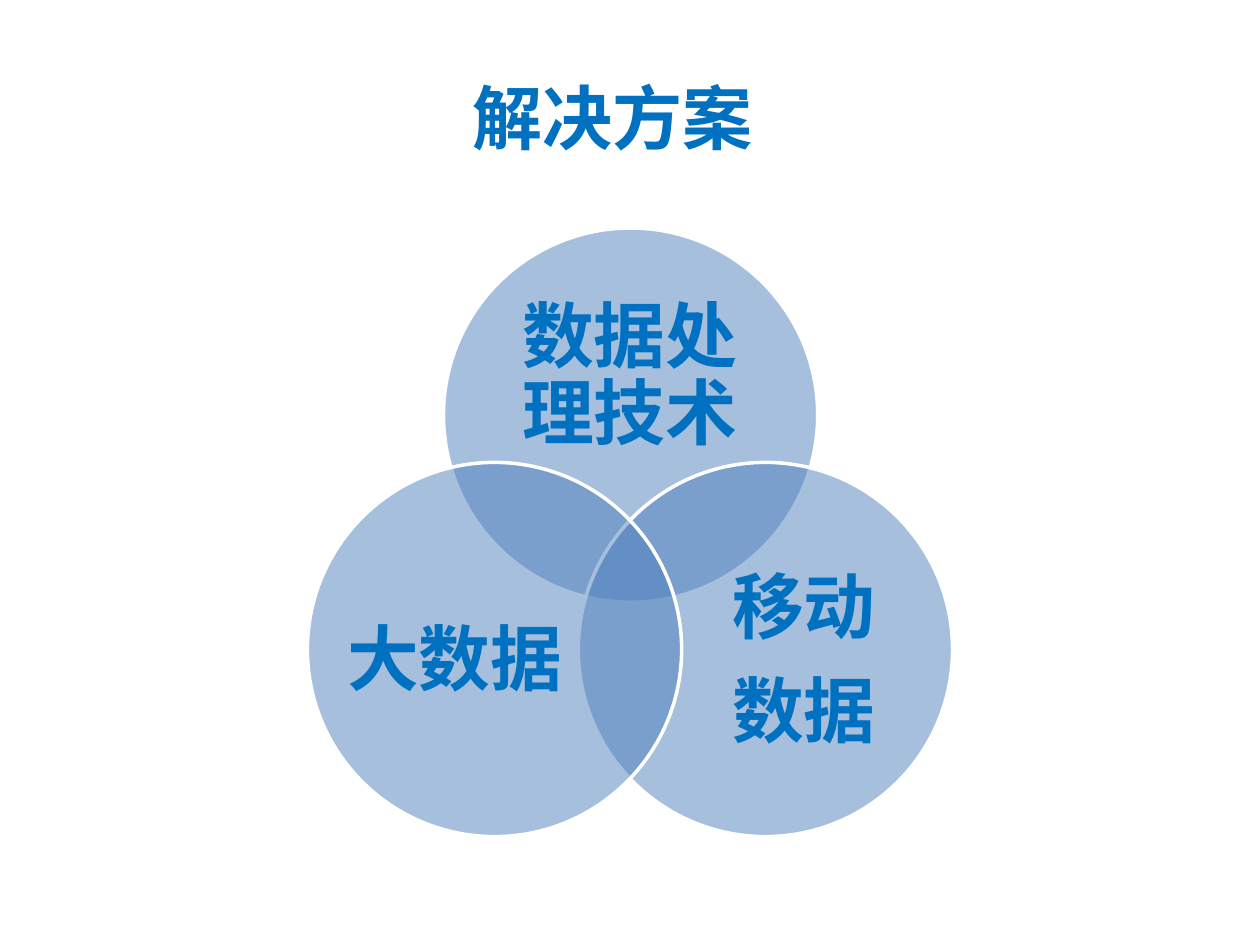
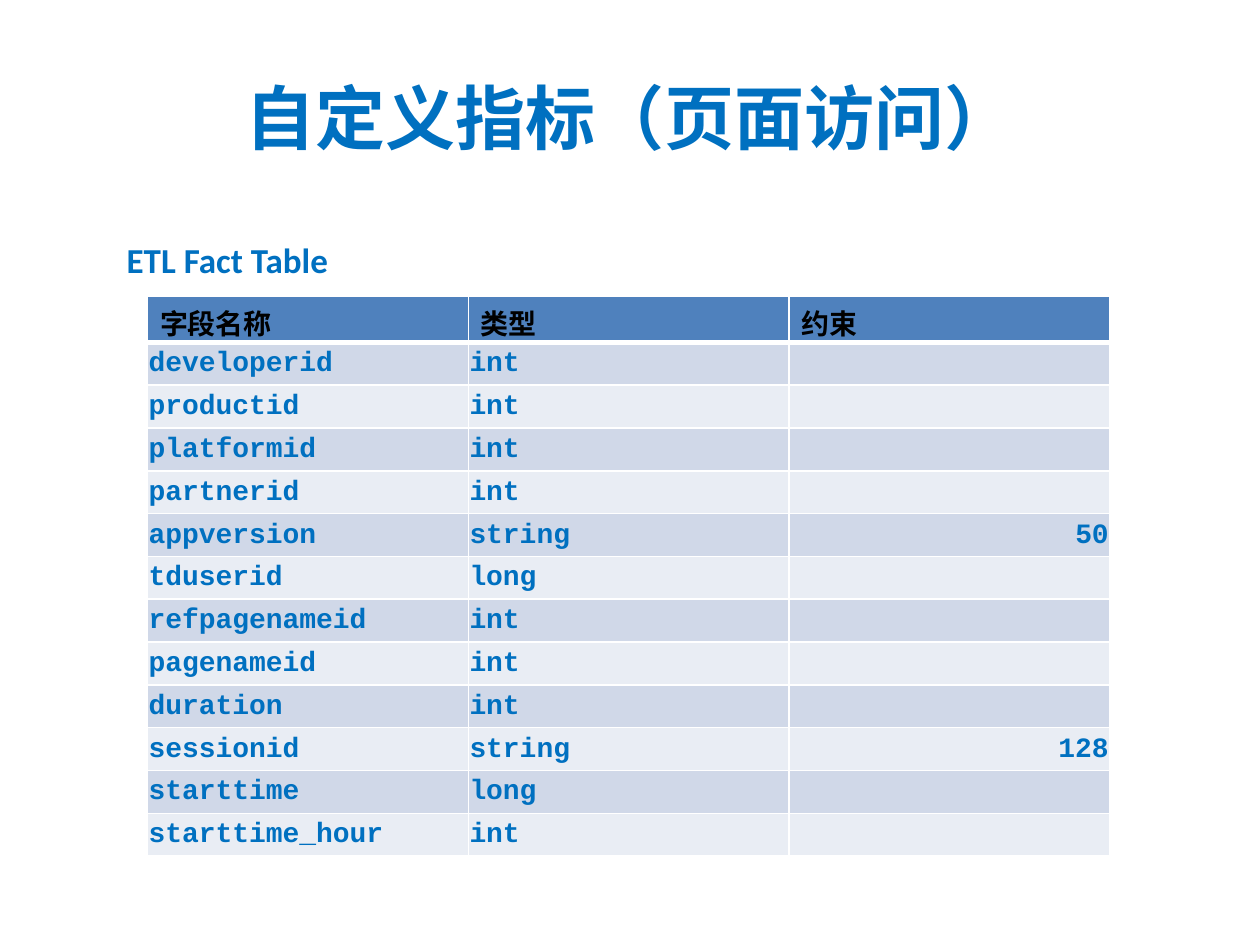
"""Build the solution Venn slide and the page-visit fact table slide."""
from dataclasses import dataclass
from typing import Any

from lxml.etree import SubElement
from pptx import Presentation
from pptx.dml.color import RGBColor
from pptx.enum.shapes import MSO_SHAPE
from pptx.enum.text import MSO_ANCHOR, PP_ALIGN
from pptx.oxml.ns import qn
from pptx.slide import Slide
from pptx.table import _Cell
from pptx.text.text import TextFrame, _Paragraph
from pptx.util import Inches, Length, Pt


@dataclass(frozen=True)
class Theme:
    """Shared colours, fonts and type sizes."""

    accent: str = "4F81BD"
    text: str = "0070C0"
    header_text: str = "000000"
    white: str = "FFFFFF"
    bands: tuple[str, str] = ("D0D8E8", "E9EDF4")
    font: str = "Calibri"
    code_font: str = "Courier New"
    title_size: int = 40
    circle_size: int = 41
    caption_size: int = 20
    table_size: int = 16


@dataclass(frozen=True)
class Box:
    """A rectangle in inches."""

    left: float
    top: float
    width: float
    height: float

    def lengths(self) -> tuple[Length, ...]:
        """Return the four sides as lengths."""
        return tuple(Inches(v) for v in (self.left, self.top, self.width, self.height))


@dataclass(frozen=True)
class Circle:
    """One Venn circle with its label."""

    left: float
    top: float
    label_box: Box
    lines: tuple[str, ...]


@dataclass(frozen=True)
class Field:
    """One row of the fact table."""

    name: str
    kind: str
    limit: str = ""


THEME = Theme()
TITLE_BOX = Box(0.5, 0.3, 9, 1.25)
CAPTION_BOX = Box(-0.25, 1.77, 4.11, 0.58)
TABLE_BOX = Box(1.17, 2.35, 7.64, 4.45)
ROW_HEIGHT = 0.34
DIAMETER = 2.97
CIRCLES = (
    Circle(3.52, 1.81, Box(3.91, 2.33, 2.18, 1.34), ("数据处理技术",)),
    Circle(4.59, 3.67, Box(5.49, 4.44, 1.78, 1.63), ("移动", "数据")),
    Circle(2.44, 3.67, Box(2.72, 4.44, 1.78, 1.63), ("大数据",)),
)
HEADERS = ("字段名称", "类型", "约束")
FIELDS = (
    Field("developerid", "int"),
    Field("productid", "int"),
    Field("platformid", "int"),
    Field("partnerid", "int"),
    Field("appversion", "string", "50"),
    Field("tduserid", "long"),
    Field("refpagenameid", "int"),
    Field("pagenameid", "int"),
    Field("duration", "int"),
    Field("sessionid", "string", "128"),
    Field("starttime", "long"),
    Field("starttime_hour", "int"),
)
LABEL_FORMAT = {"line_spacing": 0.9, "space_after": Pt(15)}
NO_MARGINS = dict.fromkeys(("margin_left", "margin_top", "margin_right", "margin_bottom"), 0)
BODY_CELL_FORMAT = {
    "margin_left": Inches(0.01),
    "margin_top": Inches(0.01),
    "margin_right": Inches(0.01),
    "margin_bottom": 0,
    "vertical_anchor": MSO_ANCHOR.MIDDLE,
}


def apply_format(target: Any, values: dict[str, Any]) -> None:
    """Set each named attribute on the target."""
    for name, value in values.items():
        setattr(target, name, value)


def write_run(paragraph: _Paragraph, text: str, size: int, color: str = THEME.text,
              font: str = THEME.font) -> None:
    """Add one bold run to a paragraph."""
    run = paragraph.add_run()
    run.text = text
    apply_format(run.font, {"size": Pt(size), "name": font, "bold": True})
    run.font.color.rgb = RGBColor.from_string(color)


def add_text(slide: Slide, box: Box, lines: tuple[str, ...], size: int) -> TextFrame:
    """Add a centred text box with one paragraph per line."""
    frame = slide.shapes.add_textbox(*box.lengths()).text_frame
    apply_format(frame, {"word_wrap": True, "vertical_anchor": MSO_ANCHOR.MIDDLE})
    for index, line in enumerate(lines):
        paragraph = frame.add_paragraph() if index else frame.paragraphs[0]
        paragraph.alignment = PP_ALIGN.CENTER
        write_run(paragraph, line, size)
    return frame


def add_titled_slide(presentation: Any, title: str) -> Slide:
    """Add a blank slide carrying the shared title style."""
    slide = presentation.slides.add_slide(presentation.slide_layouts[6])
    add_text(slide, TITLE_BOX, (title,), THEME.title_size)
    return slide


def add_circle(slide: Slide, circle: Circle) -> None:
    """Draw a half-transparent circle and its label."""
    box = Box(circle.left, circle.top, DIAMETER, DIAMETER)
    shape = slide.shapes.add_shape(MSO_SHAPE.OVAL, *box.lengths())
    shape.shadow.inherit = False
    shape.fill.solid()
    shape.fill.fore_color.rgb = RGBColor.from_string(THEME.accent)
    color = shape.fill._xPr.find(f".//{qn('a:srgbClr')}")
    SubElement(color, qn("a:alpha"), val="50000")
    shape.line.color.rgb = RGBColor.from_string(THEME.white)
    shape.line.width = Pt(2)
    frame = add_text(slide, circle.label_box, circle.lines, THEME.circle_size)
    apply_format(frame, NO_MARGINS)
    for paragraph in frame.paragraphs:
        apply_format(paragraph, LABEL_FORMAT)


def style_cell(cell: _Cell, fill: str, top: int = 1, bottom: int = 1) -> None:
    """Give a cell white borders and a solid fill."""
    properties = cell._tc.get_or_add_tcPr()
    for side, width in {"lnL": 1, "lnR": 1, "lnT": top, "lnB": bottom}.items():
        line = SubElement(properties, qn(f"a:{side}"), w=str(Pt(width)))
        SubElement(SubElement(line, qn("a:solidFill")), qn("a:srgbClr"), val=THEME.white)
    cell.fill.solid()
    cell.fill.fore_color.rgb = RGBColor.from_string(fill)


def add_field_table(slide: Slide) -> None:
    """Draw the fact table with its header and banded rows."""
    table = slide.shapes.add_table(
        len(FIELDS) + 1, len(HEADERS), *TABLE_BOX.lengths()).table
    for column in table.columns:
        column.width = Inches(TABLE_BOX.width / len(HEADERS))
    for row in table.rows:
        row.height = Inches(ROW_HEIGHT)
    for column_index, header in enumerate(HEADERS):
        cell = table.cell(0, column_index)
        style_cell(cell, THEME.accent, bottom=3)
        write_run(cell.text_frame.paragraphs[0], header, THEME.table_size, THEME.header_text)
    for row_index, field in enumerate(FIELDS, start=1):
        for column_index, text in enumerate((field.name, field.kind, field.limit)):
            cell = table.cell(row_index, column_index)
            style_cell(cell, THEME.bands[(row_index - 1) % 2], top=3 if row_index == 1 else 1)
            apply_format(cell, BODY_CELL_FORMAT)
            if text:
                paragraph = cell.text_frame.paragraphs[0]
                paragraph.alignment = PP_ALIGN.RIGHT if text.isdigit() else PP_ALIGN.LEFT
                write_run(paragraph, text, THEME.table_size, font=THEME.code_font)


def main() -> None:
    """Build and save the presentation."""
    presentation = Presentation()
    apply_format(presentation, {"slide_width": Inches(10), "slide_height": Inches(7.5)})
    solution_slide = add_titled_slide(presentation, "解决方案\t")
    for circle in CIRCLES:
        add_circle(solution_slide, circle)
    metric_slide = add_titled_slide(presentation, "自定义指标（页面访问）")
    add_text(metric_slide, CAPTION_BOX, ("ETL Fact Table",), THEME.caption_size)
    add_field_table(metric_slide)
    presentation.save("out.pptx")


if __name__ == "__main__":
    main()
